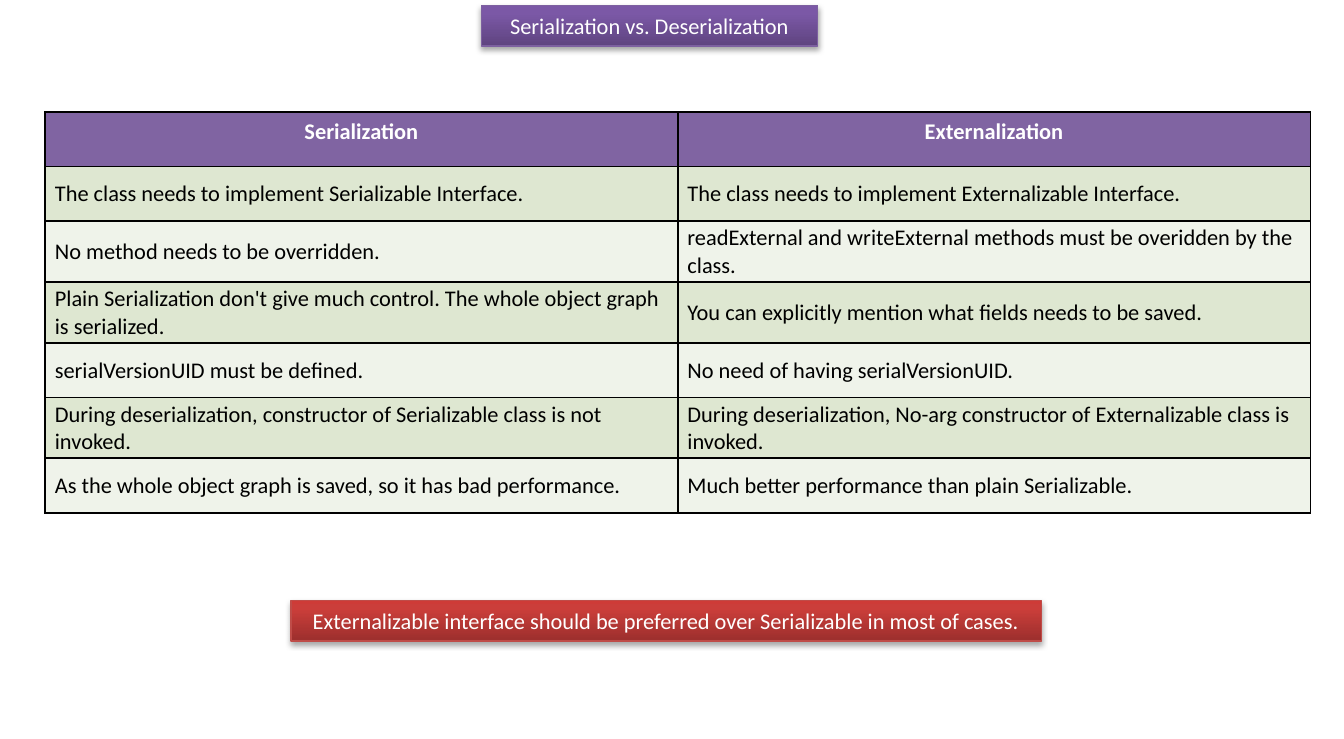
from copy import deepcopy

from lxml.etree import SubElement
from pptx import Presentation
from pptx.dml.color import RGBColor
from pptx.enum.shapes import MSO_SHAPE
from pptx.enum.text import MSO_ANCHOR, PP_ALIGN
from pptx.oxml import parse_xml
from pptx.oxml.ns import nsdecls, qn
from pptx.util import Pt


def rgb(color):
    return RGBColor.from_string(color)


def write(tf, text, color="000000", bold=False, align=PP_ALIGN.LEFT):
    tf.word_wrap = True
    p = tf.paragraphs[0]
    p.alignment = align
    r = p.add_run()
    r.text = text
    r.font.name = "Calibri"
    r.font.size = Pt(12)
    r.font.bold = bold
    r.font.color.rgb = rgb(color)


prs = Presentation()
prs.slide_width, prs.slide_height = Pt(720), Pt(396)
s = prs.slides.add_slide(prs.slide_layouts[6])

# Title and conclusion banners
banners = [
    ("Serialization vs. Deserialization", 257.8, 2.8, 180.2,
     ("5F4480", "7B58A6", "7C57A8"), "7D60A0"),
    ("Externalizable interface should be preferred over Serializable in most of cases.",
     155.9, 321.7, 402, ("9C2F2D", "CB3E3A", "CE3B37"), "BF4C48"),
]
for text, left, top, width, colors, outline in banners:
    sp = s.shapes.add_shape(MSO_SHAPE.RECTANGLE, Pt(left), Pt(top), Pt(width), Pt(21.8))
    sp.fill.gradient()
    sp.fill.gradient_angle = 90
    first = sp.fill._fill._gradFill.gsLst[0]
    first.addnext(deepcopy(first))
    for stop, color, position in zip(sp.fill.gradient_stops, colors, (0, 0.8, 1)):
        stop.color.rgb = rgb(color)
        stop.position = position
    sp.line.color.rgb = rgb(outline)
    sp.line.width = Pt(0.75)
    sp.shadow.inherit = False
    effects = sp._element.spPr.find(qn("a:effectLst"))
    effects.append(parse_xml(
        f'<a:outerShdw {nsdecls("a")} blurRad="{Pt(3.1)}" dist="{Pt(1.8)}" dir="5400000" '
        'rotWithShape="0"><a:srgbClr val="000000"><a:alpha val="35000"/></a:srgbClr>'
        '</a:outerShdw>'))
    write(sp.text_frame, text, "FFFFFF", align=PP_ALIGN.CENTER)

# Comparison table
rows = [
    ("Serialization", "Externalization"),
    ("The class needs to implement Serializable Interface.",
     "The class needs to implement Externalizable Interface."),
    ("No method needs to be overridden.",
     "readExternal and writeExternal methods must be overidden by the class."),
    ("Plain Serialization don't give much control. The whole object graph is serialized.",
     "You can explicitly mention what fields needs to be saved."),
    ("serialVersionUID must be defined.",
     "No need of having serialVersionUID."),
    ("During deserialization, constructor of Serializable class is not invoked.",
     "During deserialization, No-arg constructor of Externalizable class is invoked."),
    ("As the whole object graph is saved, so it has bad performance.",
     "Much better performance than plain Serializable."),
]
table = s.shapes.add_table(len(rows), 2, Pt(24.2), Pt(60), Pt(677.8),
                           Pt(29.2 * len(rows))).table
for i, row in enumerate(rows):
    table.rows[i].height = Pt(29.2)
    for j, text in enumerate(row):
        cell = table.cell(i, j)
        if i == 0:
            write(cell.text_frame, text, "FFFFFF", bold=True, align=PP_ALIGN.CENTER)
            fill = "8064A2"
        else:
            write(cell.text_frame, text)
            fill = "DEE7D1" if i % 2 else "EFF3EA"
            cell.vertical_anchor = MSO_ANCHOR.MIDDLE
            cell.margin_left = cell.margin_right = Pt(5.2)
            cell.margin_top, cell.margin_bottom = Pt(2), Pt(1.4)
        tcPr = cell._tc.get_or_add_tcPr()
        for side in ("lnL", "lnR", "lnT", "lnB"):
            ln = SubElement(tcPr, qn(f"a:{side}"), w=str(Pt(1)))
            solid = SubElement(ln, qn("a:solidFill"))
            SubElement(solid, qn("a:srgbClr"), val="000000")
        cell.fill.solid()
        cell.fill.fore_color.rgb = rgb(fill)

prs.save("out.pptx")
